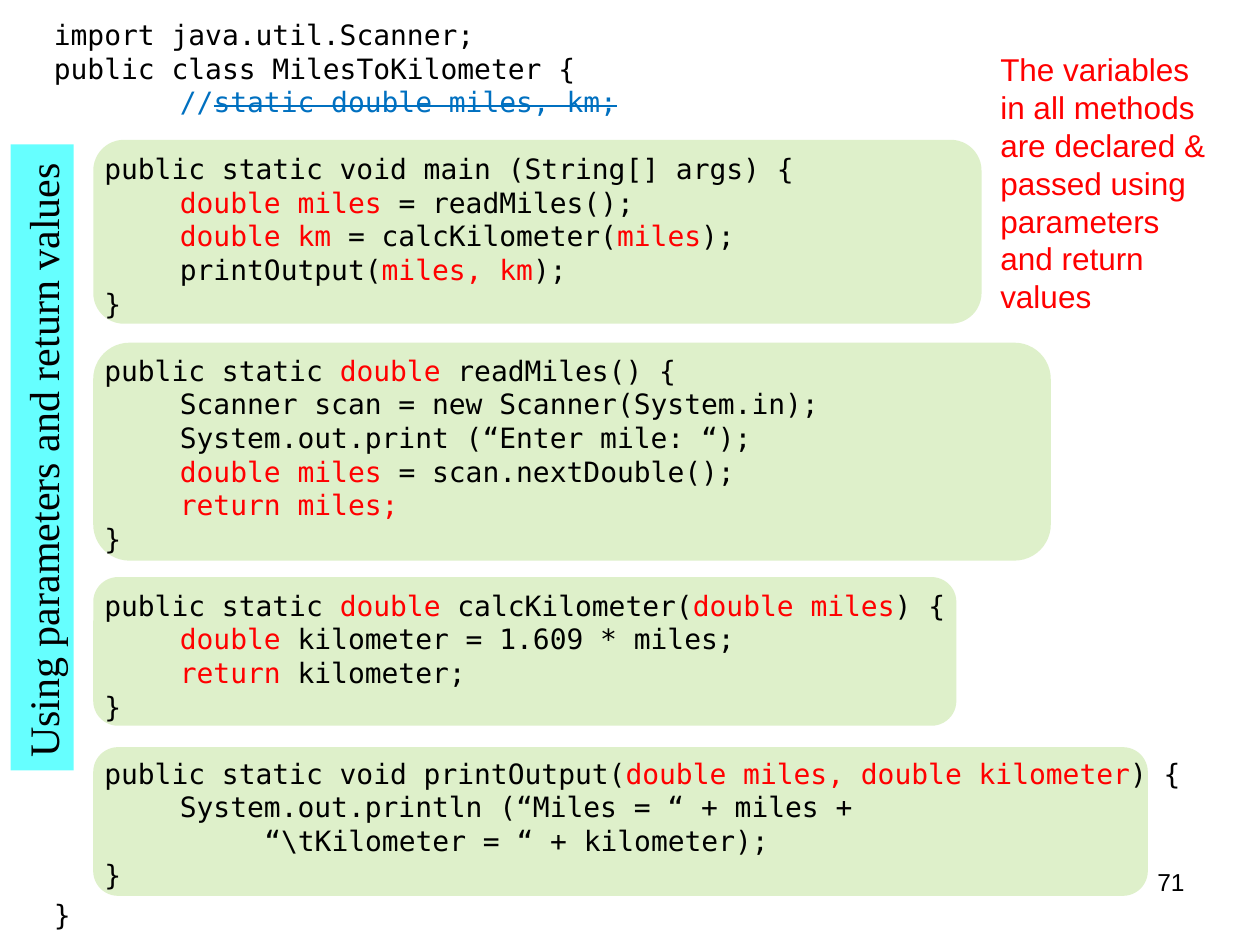
from dataclasses import dataclass

from lxml.etree import SubElement as SubEl
from pptx import Presentation
from pptx.dml.color import RGBColor as Color
from pptx.enum.shapes import MSO_SHAPE as Shape
from pptx.enum.text import MSO_ANCHOR as Anchor, MSO_AUTO_SIZE as Fit, PP_ALIGN as Align
from pptx.oxml.ns import qn
from pptx.util import Inches, Pt


@dataclass(frozen=True)
class Theme:
    black: str = "000000"
    red: str = "FF0000"
    blue: str = "0070C0"
    green: str = "92D050"
    cyan: str = "66FFFF"
    sans: str = "Arial"
    serif: str = "Times New Roman"
    mono: str = "DejaVu Sans Mono"
    small: int = 14
    code: int = 16
    note: int = 18
    title: int = 24
    pitch: float = 19.2
    alpha: int = 30


THEME = Theme()
LEFT = 0.74
INNER, BODY, MORE = 0.4, 1, 1.67

METHODS = [
    (1.11, 7.05, 1.46, [
        (INNER, "public static void main (String[] args) {"),
        (BODY, "|double miles |= readMiles();"),
        (BODY, "|double km| = calcKilometer(|miles|);"),
        (BODY, "printOutput(|miles, km|);"),
        (INNER, "}"),
    ]),
    (2.72, 7.6, 1.73, [
        (INNER, "public static |double |readMiles() {"),
        (BODY, "Scanner scan = new Scanner(System.in);"),
        (BODY, "System.out.print (“Enter mile: “);"),
        (BODY, "|double miles |= scan.nextDouble();"),
        (BODY, "|return miles;|"),
        (INNER, "}"),
    ]),
    (4.58, 6.85, 1.18, [
        (INNER, "public static |double |calcKilometer(|double miles|) {"),
        (BODY, "|double| kilometer = 1.609 * miles;"),
        (BODY, "|return| kilometer;"),
        (INNER, "}"),
    ]),
    (5.93, 8.37, 1.18, [
        (INNER, "public static void printOutput(|double miles, double kilometer|) {"),
        (BODY, "System.out.println (“Miles = “ + miles +"),
        (MORE, "“\\tKilometer = “ + kilometer);"),
        (INNER, "}"),
    ]),
]


def write(frame, text, font=THEME.sans, size=THEME.note, color=THEME.black,
          accent=THEME.red, strike=False, align=Align.LEFT, indent=0, gap=0, pitch=None):
    para = frame.paragraphs[0]
    if para.runs:
        para = frame.add_paragraph()
    para.alignment = align
    para.space_before = Pt(gap)
    if pitch:
        para.line_spacing = Pt(pitch)
    if indent:
        props = para._p.get_or_add_pPr()
        props.set("marL", str(Inches(indent)))
        props.set("indent", "0")
    for spot, part in enumerate(text.split("|")):
        if not part:
            continue
        marked = spot % 2 == 1
        run = para.add_run()
        run.text = part
        run.font.name = font
        run.font.size = Pt(size)
        run.font.color.rgb = Color.from_string(accent if marked else color)
        if marked and strike:
            run.font._element.set("strike", "sngStrike")


def place(item, left, top, width, height):
    item.left, item.top = Inches(left), Inches(top)
    item.width, item.height = Inches(width), Inches(height)


def paint(item, color):
    item.fill.solid()
    item.fill.fore_color.rgb = Color.from_string(color)
    item.line.fill.background()


def add_title(slide, text):
    title = slide.shapes.title
    place(title, -2.15, 3.38, 4.97, 0.5)
    title.rotation = 270
    paint(title, THEME.cyan)
    frame = title.text_frame
    frame.word_wrap = False
    frame.auto_size = Fit.NONE
    frame.vertical_anchor = Anchor.TOP
    write(frame, text, font=THEME.serif, size=THEME.title)


def add_panel(slide, top, width, height):
    panel = slide.shapes.add_shape(
        Shape.ROUNDED_RECTANGLE, Inches(LEFT), Inches(top), Inches(width), Inches(height))
    panel.shadow.inherit = False
    paint(panel, THEME.green)
    tint = panel.fill._xPr.find(qn("a:solidFill"))[0]
    SubEl(tint, qn("a:alpha")).set("val", str(THEME.alpha * 1000))


def add_box(slide, left, top, width, height):
    box = slide.shapes.add_textbox(
        Inches(left), Inches(top), Inches(width), Inches(height))
    box.text_frame.word_wrap = True
    return box.text_frame


def add_code(slide):
    frame = add_box(slide, 0.33, 0.09, 9.37, 7.44)
    style = dict(font=THEME.mono, size=THEME.code, pitch=THEME.pitch)
    write(frame, "import java.util.Scanner;", **style)
    write(frame, "public class MilesToKilometer {", **style)
    write(frame, "//|static double miles, km;|", color=THEME.blue, accent=THEME.blue,
          strike=True, indent=BODY, **style)
    for _, _, _, lines in METHODS:
        for row, (indent, text) in enumerate(lines):
            write(frame, text, indent=indent, gap=0 if row else THEME.pitch, **style)
    write(frame, "}", gap=4, **style)


def main():
    deck = Presentation()
    deck.slide_width, deck.slide_height = Inches(10), Inches(7.5)
    slide = deck.slides.add_slide(deck.slide_layouts[5])
    add_title(slide, "Using parameters and return values")
    for top, width, height, _ in METHODS:
        add_panel(slide, top, width, height)
    write(add_box(slide, 7.17, 6.83, 2.33, 0.52), "71", size=THEME.small, align=Align.RIGHT)
    write(add_box(slide, 7.84, 0.35, 1.91, 2.52),
          "The variables in all methods are declared & passed using parameters"
          " and return values", color=THEME.red)
    add_code(slide)
    deck.save("out.pptx")


if __name__ == "__main__":
    main()
